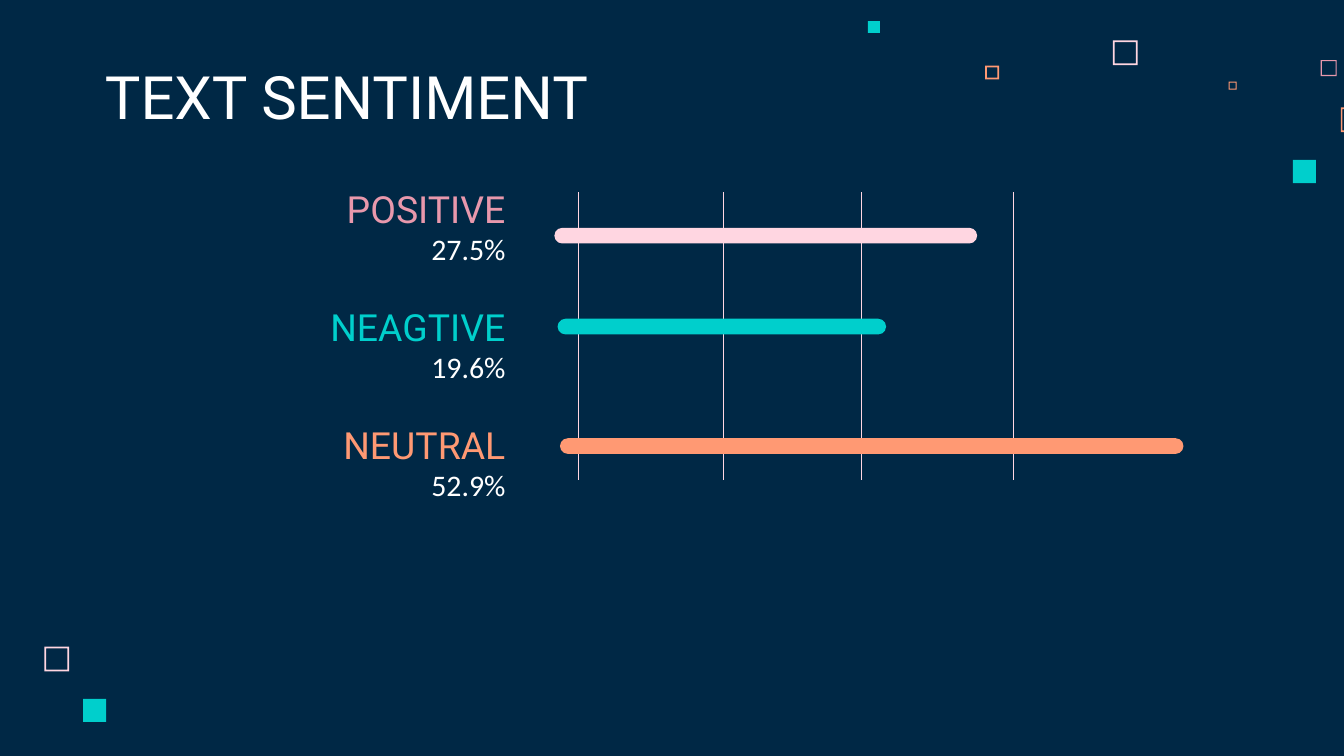
"""Build the text sentiment slide with three labelled bars."""
import pptx
import pptx.util
import pptx.dml.color
import pptx.enum.shapes
import pptx.enum.text
import pptx.oxml.ns
import lxml.etree
from dataclasses import dataclass

Pt = pptx.util.Pt
RGB = pptx.dml.color.RGBColor.from_string
SHAPE = pptx.enum.shapes.MSO_SHAPE
ANCHOR = pptx.enum.text.MSO_ANCHOR
ALIGN = pptx.enum.text.PP_ALIGN


@dataclass(frozen=True)
class Theme:
    navy: str = "002845"
    white: str = "FFFFFF"
    pink: str = "FFD6E1"
    rose: str = "E898AC"
    teal: str = "00CFCC"
    orange: str = "FF9973"
    heading: str = "Roboto"
    body: str = "Calibri"
    title_size: int = 32
    label_size: int = 20
    value_size: int = 16


theme = Theme()


def add_block(s, kind, x, y, w, h, color):
    sp = s.shapes.add_shape(kind, Pt(x), Pt(y), Pt(w), Pt(h))
    sp.shadow.inherit = False
    sp.fill.solid()
    sp.fill.fore_color.rgb = RGB(color)
    sp.line.fill.background()
    return sp


def set_text(sp, text, font, size, color, align, anchor):
    tf = sp.text_frame
    tf.word_wrap = True
    tf.auto_size = pptx.enum.text.MSO_AUTO_SIZE.NONE
    tf.vertical_anchor = anchor
    tf.margin_left = tf.margin_right = tf.margin_top = tf.margin_bottom = Pt(7.2)
    p = tf.paragraphs[0]
    p.alignment = align
    r = p.add_run()
    r.text = text
    r.font.name = font
    r.font.size = Pt(size)
    r.font.color.rgb = RGB(color)


prs = pptx.Presentation()
prs.slide_width, prs.slide_height = Pt(720), Pt(405)
s = prs.slides.add_slide(prs.slide_layouts[5])
s.background.fill.solid()
s.background.fill.fore_color.rgb = RGB(theme.navy)

title = s.shapes.title
title.left, title.top, title.width, title.height = Pt(49), Pt(32.4), Pt(372), Pt(45.4)
set_text(title, "TEXT SENTIMENT", theme.heading, theme.title_size, theme.white,
         ALIGN.LEFT, ANCHOR.BOTTOM)

outlined_squares = [
    (596.2, 21.7, 13.2, theme.pink),
    (707.5, 32.2, 8.6, theme.rose),
    (658.2, 43.7, 4.3, theme.orange),
    (718.3, 57.6, 13.2, theme.orange),
    (527.8, 35.1, 7.4, theme.orange),
    (23.8, 346.5, 13.2, theme.pink),
]
for x, y, size, color in outlined_squares:
    sp = add_block(s, SHAPE.FRAME, x, y, size, size, color)
    sp.adjustments[0] = 0.13 if size < 8 else 0.07

solid_squares = [(692.6, 85.7, 12.4), (465, 11.3, 6.4), (44.5, 374.4, 12.4)]
for x, y, size in solid_squares:
    add_block(s, SHAPE.RECTANGLE, x, y, size, size, theme.teal)

for x in (310, 387.5, 461.5, 543):
    line = s.shapes.add_connector(pptx.enum.shapes.MSO_CONNECTOR.STRAIGHT,
                                  Pt(x), Pt(103), Pt(x), Pt(257))
    line.line.color.rgb = RGB(theme.pink)
    line.line.width = Pt(0.25)
    lxml.etree.SubElement(line._element.spPr, pptx.oxml.ns.qn("a:effectLst"))

sentiments = [
    ("POSITIVE", "27.5%", theme.rose, theme.pink, 297, 122.1, 226.5),
    ("NEAGTIVE", "19.6%", theme.teal, theme.teal, 298.7, 170.8, 176),
    ("NEUTRAL", "52.9%", theme.orange, theme.orange, 300, 234.8, 334),
]
for i, (name, share, label_color, bar_color, x, y, width) in enumerate(sentiments):
    bar = add_block(s, SHAPE.ROUNDED_RECTANGLE, x, y, width, 8.4, bar_color)
    bar.adjustments[0] = 0.5
    top = 100 + 63.2 * i
    label = s.shapes.add_textbox(Pt(129.6), Pt(top), Pt(148.3), Pt(31))
    set_text(label, name, theme.heading, theme.label_size, label_color,
             ALIGN.RIGHT, ANCHOR.BOTTOM)
    value = s.shapes.add_textbox(Pt(101.5), Pt(top + 16.6), Pt(176.4), Pt(51))
    set_text(value, share, theme.body, theme.value_size, theme.white,
             ALIGN.RIGHT, ANCHOR.TOP)

prs.save("out.pptx")
